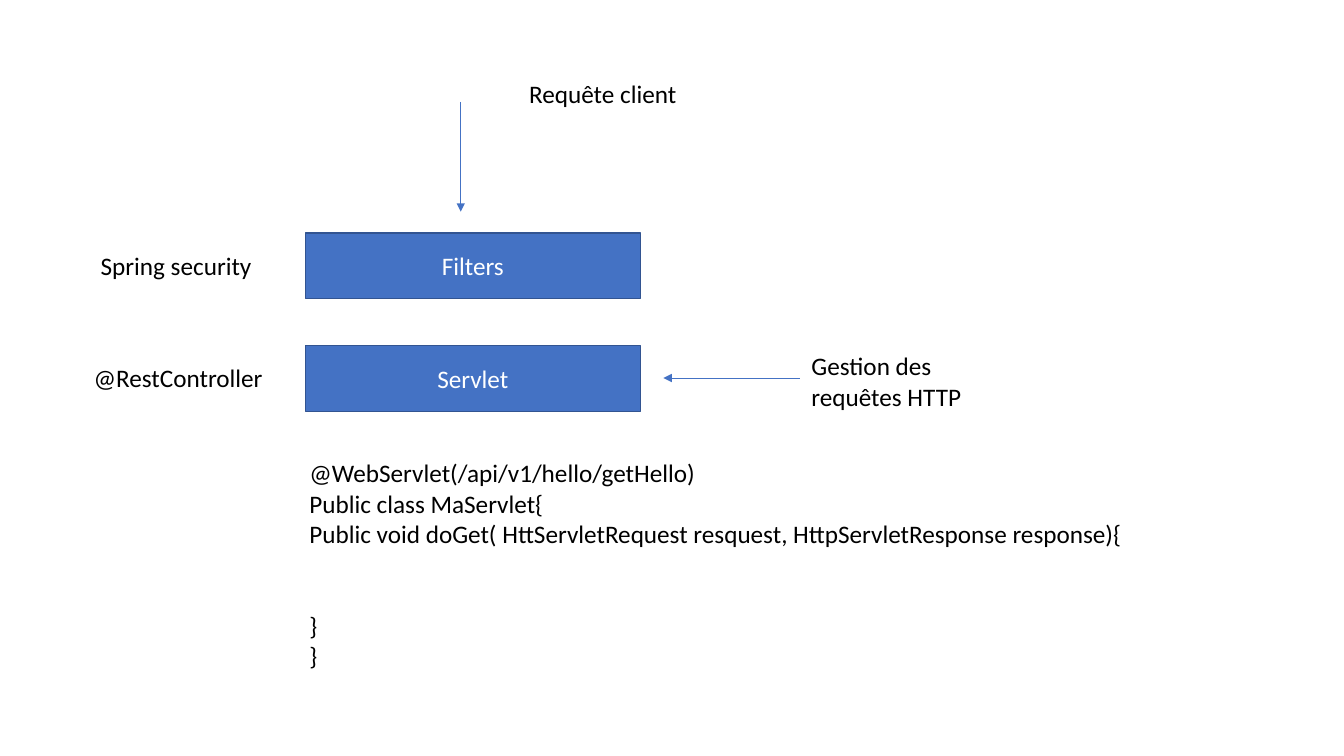
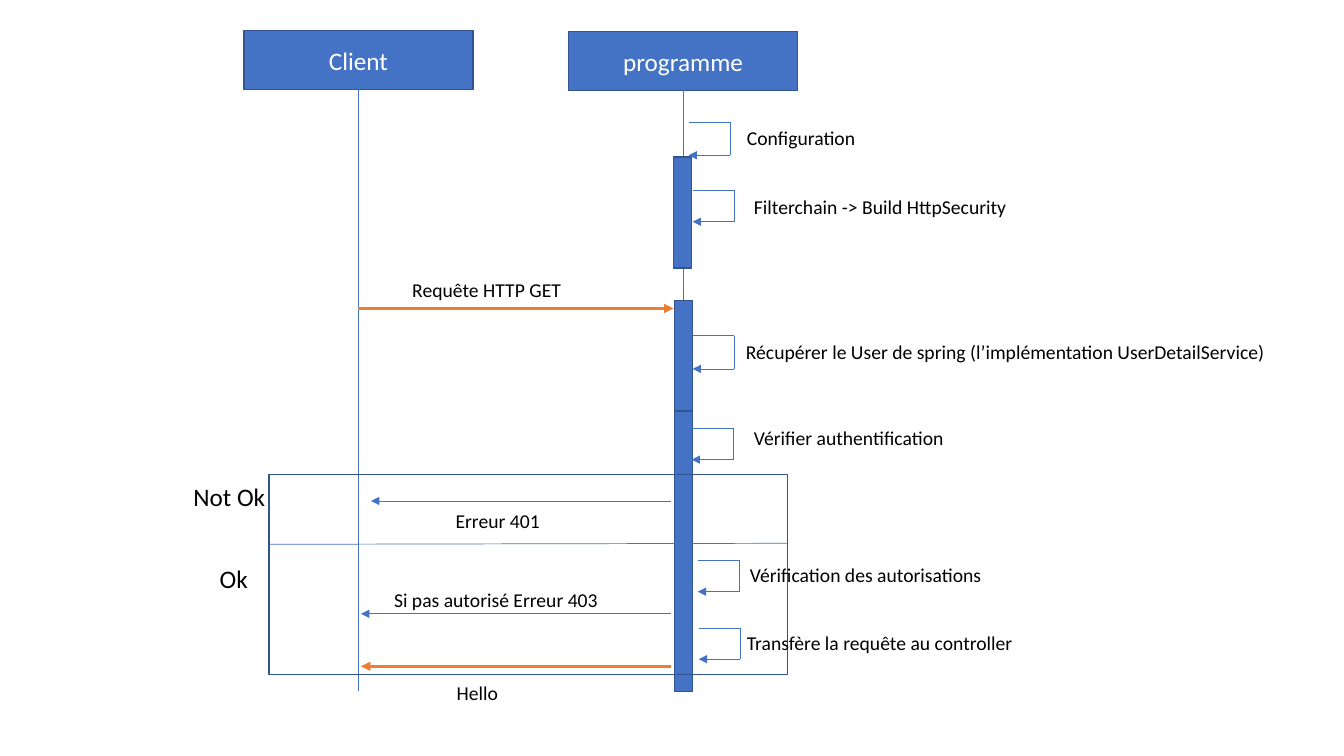
from pptx import Presentation, util as u
from pptx.dml.color import RGBColor
from pptx.enum import shapes, text
from pptx.oxml.ns import qn
from lxml import etree

BLUE, EDGE, ORANGE = "4472C4", "325491", "ED7D31"
BLACK, WHITE = "000000", "FFFFFF"


def rgb(hex_color):
    """Turn a hex string into a colour."""
    return RGBColor.from_string(hex_color)


def write(tf, lines, size=18, color=BLACK, align=text.PP_ALIGN.LEFT,
          font="Calibri", gaps=None):
    """Fill a text frame; gaps maps a line's index to the points after it."""
    tf.word_wrap = True
    for i, line in enumerate(lines.split("\n")):
        p = tf.paragraphs[0] if i == 0 else tf.add_paragraph()
        p.alignment = align
        if gaps and i in gaps:
            p.space_after = u.Pt(gaps[i])
        r = p.add_run()
        r.text = line
        r.font.name, r.font.size = font, u.Pt(size)
        r.font.color.rgb = rgb(color)


class Deck:
    """Holds the presentation, its style and the current slide."""

    def __init__(self):
        """Start a widescreen presentation."""
        self.prs = Presentation()
        self.prs.slide_width = u.Inches(13.33)
        self.prs.slide_height = u.Inches(7.5)
        self.s = None

    def slide(self):
        """Add a blank slide and make it current."""
        self.s = self.prs.slides.add_slide(self.prs.slide_layouts[6])

    def box(self, x, y, w, h, label="", fill=BLUE):
        """Draw an outlined rectangle with an optional centred label."""
        sp = self.s.shapes.add_shape(shapes.MSO_SHAPE.RECTANGLE,
                                     *map(u.Inches, (x, y, w, h)))
        sp.shadow.inherit = False
        if fill:
            sp.fill.solid()
            sp.fill.fore_color.rgb = rgb(fill)
        else:
            sp.fill.background()
        sp.line.color.rgb = rgb(EDGE)
        sp.line.width = u.Pt(1)
        if label:
            sp.text_frame.vertical_anchor = text.MSO_ANCHOR.MIDDLE
            write(sp.text_frame, label, color=WHITE,
                  align=text.PP_ALIGN.CENTER)

    def label(self, x, y, w, lines, h=0.4, **fmt):
        """Place a wrapped text box."""
        sp = self.s.shapes.add_textbox(*map(u.Inches, (x, y, w, h)))
        write(sp.text_frame, lines, **fmt)

    def line(self, x1, y1, x2, y2, color=BLUE, width=0.5, arrow=False):
        """Draw a straight line, with an arrowhead at its end if asked."""
        sp = self.s.shapes.add_connector(shapes.MSO_CONNECTOR.STRAIGHT,
                                         *map(u.Inches, (x1, y1, x2, y2)))
        sp.line.color.rgb = rgb(color)
        sp.line.width = u.Pt(width)
        if arrow:
            etree.SubElement(sp.line._get_or_add_ln(), qn("a:tailEnd"),
                             type="triangle")
        etree.SubElement(sp._element.spPr, qn("a:effectLst"))

    def self_call(self, x, y, drop):
        """Draw a three-sided loop that returns to its lifeline."""
        right, bottom = x + 0.41, y + drop
        self.line(x, y, right, y)
        self.line(right, y, right, bottom)
        self.line(right, bottom, x, bottom, arrow=True)


def layers_slide(deck):
    """Show a request passing through the filters and the servlet."""
    deck.slide()
    for y, name, role, role_x in ((2.31, "Filters", "Spring security", 0.9),
                                  (3.43, "Servlet", "@RestController", 0.83)):
        deck.box(3.03, y, 3.32, 0.65, name)
        deck.label(role_x, y + 0.12, 1.89, role)
    deck.line(4.57, 1.01, 4.57, 2.1, arrow=True)
    deck.label(5.15, 0.73, 2.9, "Requête client")
    deck.line(7.93, 3.75, 6.58, 3.75, arrow=True)
    deck.label(7.95, 3.43, 1.73, "Gestion des requêtes HTTP", h=0.71)
    code = ("@WebServlet(/api/v1/hello/getHello)\n"
            "Public class MaServlet{\n"
            "Public void doGet( HttServletRequest resquest, "
            "HttpServletResponse response){\n}\n}")
    deck.label(2.97, 4.49, 8.87, code, h=2.52, gaps={2: 44})


def sequence_slide(deck):
    """Show the exchange between the client and the program."""
    deck.slide()
    deck.box(5.64, 0.31, 2.27, 0.59, "programme")
    deck.box(2.42, 0.3, 2.27, 0.59, "Client")
    deck.line(3.55, 0.88, 3.55, 6.86)
    deck.line(6.78, 0.71, 6.78, 4.62)
    for x, y, h in ((6.68, 1.56, 1.1), (6.69, 2.98, 1.1), (6.69, 4.08, 2.78)):
        deck.box(x, y, 0.18, h)

    deck.box(2.67, 4.71, 5.14, 1.98, fill=None)
    deck.line(2.67, 5.4, 7.81, 5.39)
    deck.label(1.82, 4.73, 1.03, "Not Ok ")
    deck.label(2.08, 5.54, 0.59, "Ok ")

    calls = (
        (6.83, 1.21, 0.33, 7.31, 1.2, "Configuration"),
        (6.87, 1.89, 0.31, 7.38, 1.88, "Filterchain -> Build HttpSecurity"),
        (6.87, 3.33, 0.33, 7.3, 3.32, "Récupérer le User de spring "
         "(l’implémentation UserDetailService)"),
        (6.86, 4.25, 0.31, 7.38, 4.18, "Vérifier authentification"),
        (6.92, 5.56, 0.31, 7.34, 5.54, "Vérification des autorisations"),
        (6.93, 6.23, 0.31, 7.31, 6.21, "Transfère la requête au controller"),
    )
    for x, y, drop, label_x, label_y, name in calls:
        deck.self_call(x, y, drop)
        deck.label(label_x, label_y, 6.1 if len(name) > 40 else 3.7, name,
                   h=0.34, size=14)

    thick = {"color": ORANGE, "width": 2.25}
    messages = (
        (3.55, 6.68, 3.06, thick, 3.99, 2.71, "Requête HTTP GET"),
        (6.66, 3.68, 4.97, {}, 4.42, 5, "Erreur 401"),
        (6.66, 3.58, 6.09, {}, 3.81, 5.78, "Si pas autorisé Erreur 403"),
        (6.66, 3.58, 6.61, thick, 4.43, 6.71, "Hello"),
    )
    for start, end, y, style, label_x, label_y, name in messages:
        deck.line(start, y, end, y, arrow=True, **style)
        deck.label(label_x, label_y, 2.51, name, h=0.34, size=14)


deck = Deck()
layers_slide(deck)
sequence_slide(deck)
deck.prs.save("out.pptx")
